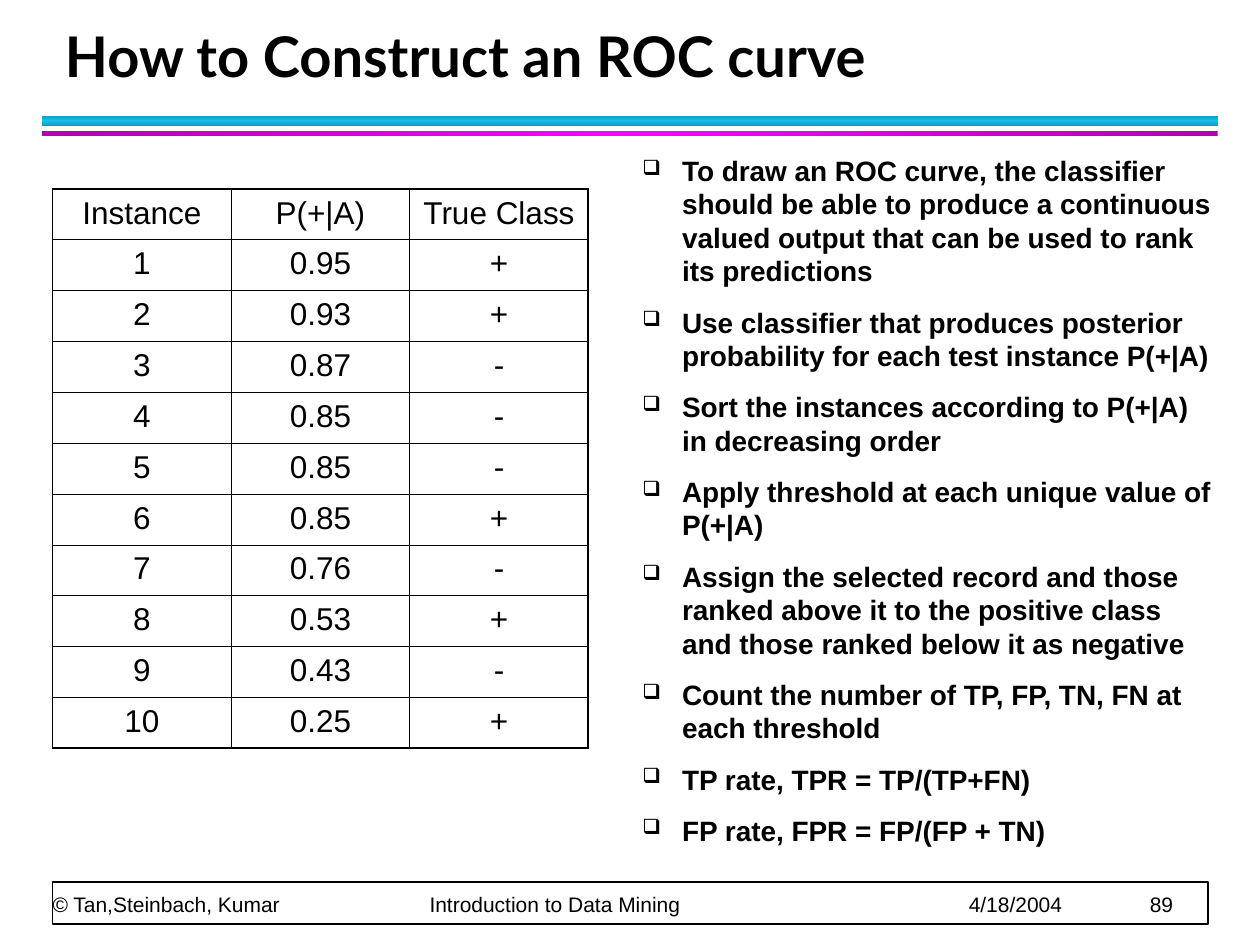
import copy
import dataclasses
import typing

import pptx
import pptx.dml.color
import pptx.enum.shapes
import pptx.enum.text
import pptx.oxml
import pptx.oxml.ns
import pptx.util

Cm = pptx.util.Cm
Pt = pptx.util.Pt
ALIGN = pptx.enum.text.PP_ALIGN
ANCHOR = pptx.enum.text.MSO_ANCHOR

BLACK = "000000"
WHITE = "FFFFFF"
THIN, THICK = 0.45, 1.08
CELL_INSETS = (0.25, 0.13, 0.25, 0.13)


@dataclasses.dataclass
class Area:
    """Left, top, width and height in centimetres."""
    left: float
    top: float
    width: float
    height: float

    def lengths(self) -> list[int]:
        return [Cm(value) for value in dataclasses.astuple(self)]


@dataclasses.dataclass
class Band:
    area: Area
    edge: str
    middle: str
    angle: int


@dataclasses.dataclass
class Instance:
    probability: str
    true_class: str


BANDS = [
    Band(Area(0.85, 2.33, 23.7, 0.21), "0E9BBA", "12C2E9", 90),
    Band(Area(0.85, 2.64, 23.7, 0.1), "B200B2", "FF00FF", 0),
]
HEADINGS = ["Instance", "P(+|A)", "True Class"]
INSTANCES = [
    Instance("0.95", "+"), Instance("0.93", "+"), Instance("0.87", "-"),
    Instance("0.85", "-"), Instance("0.85", "-"), Instance("0.85", "+"),
    Instance("0.76", "-"), Instance("0.53", "+"), Instance("0.43", "-"),
    Instance("0.25", "+"),
]
STEPS = [
    "To draw an ROC curve, the classifier should be able to produce a "
    "continuous valued output that can be used to rank its predictions",
    "Use classifier that produces posterior probability for each test "
    "instance P(+|A)",
    "Sort the instances according to P(+|A) in decreasing order",
    "Apply threshold at each unique value of P(+|A)",
    "Assign the selected record and those ranked above it to the positive "
    "class and those ranked below it as negative",
    "Count the number of TP, FP, TN, FN at each threshold",
    "TP rate, TPR = TP/(TP+FN)",
    "FP rate, FPR = FP/(FP + TN)",
]
FOOTER = ["© Tan,Steinbach, Kumar", "Introduction to Data Mining", "4/18/2004", "89"]
FOOTER_TABS = [7.6, 18.47, 22.12]


def colour(code: str) -> pptx.dml.color.RGBColor:
    return pptx.dml.color.RGBColor.from_string(code)


def add_element(parent: typing.Any, content: str) -> None:
    """Append a DrawingML element, written without its namespace declaration."""
    tag, rest = content[:content.index(" ")], content[content.index(" "):]
    namespace = pptx.oxml.ns.nsdecls("a")
    parent.append(pptx.oxml.parse_xml(f"{tag} {namespace}{rest}"))


def write(para: typing.Any, text: str, *, size: float, font: str = "Arial",
          bold: bool = False, align: ALIGN = ALIGN.LEFT,
          line_spacing: float | None = None, space_before: float = 0,
          bullet: str | None = None, tabs: typing.Sequence[float] = ()) -> None:
    properties = para._p.get_or_add_pPr()
    if bullet:
        indent = Cm(0.8)
        properties.set("marL", str(indent))
        properties.set("indent", str(-indent))
        add_element(properties, f'<a:buClr ><a:srgbClr val="{BLACK}"/></a:buClr>')
        add_element(properties, '<a:buSzPct val="75000"/>')
        add_element(properties, f'<a:buChar char="{bullet}"/>')
    if tabs:
        stops = "".join(f'<a:tab pos="{Cm(stop)}" algn="l"/>' for stop in tabs)
        add_element(properties, f"<a:tabLst >{stops}</a:tabLst>")
    para.alignment = align
    para.space_before = Pt(space_before)
    if line_spacing:
        para.line_spacing = Pt(line_spacing)
    span = para.add_run()
    span.text = text
    span.font.size = Pt(size)
    span.font.name = font
    span.font.bold = bold
    span.font.color.rgb = colour(BLACK)


def add_box(page: typing.Any, area: Area, anchor: ANCHOR,
            insets: tuple[float, float, float, float] = CELL_INSETS) -> typing.Any:
    """Add an empty wrapping text box and return its text frame."""
    frame = page.shapes.add_textbox(*area.lengths()).text_frame
    frame.word_wrap = True
    frame.vertical_anchor = anchor
    (frame.margin_left, frame.margin_top,
     frame.margin_right, frame.margin_bottom) = map(Cm, insets)
    return frame


def add_rectangle(page: typing.Any, area: Area) -> typing.Any:
    kind = pptx.enum.shapes.MSO_SHAPE.RECTANGLE
    shape = page.shapes.add_shape(kind, *area.lengths())
    shape.shadow.inherit = False
    return shape


def add_band(page: typing.Any, band: Band) -> None:
    shape = add_rectangle(page, band.area)
    shape.line.fill.background()
    shape.fill.gradient()
    shape.fill.gradient_angle = band.angle
    stop_list = shape._element.spPr.find(".//" + pptx.oxml.ns.qn("a:gsLst"))
    stop_list.insert(1, copy.deepcopy(stop_list[0]))
    codes = (band.edge, band.middle, band.edge)
    for index, (stop, code) in enumerate(zip(shape.fill.gradient_stops, codes)):
        stop.position = index / 2
        stop.color.rgb = colour(code)


def add_instance_table(page: typing.Any, area: Area) -> None:
    rows = [HEADINGS] + [[str(number), instance.probability, instance.true_class]
                         for number, instance in enumerate(INSTANCES, 1)]
    last_row, last_column = len(rows) - 1, len(HEADINGS) - 1
    table = page.shapes.add_table(len(rows), len(HEADINGS), *area.lengths()).table
    table.first_row = table.horz_banding = False
    for row, values in enumerate(rows):
        for column, value in enumerate(values):
            cell = table.cell(row, column)
            (cell.margin_left, cell.margin_top,
             cell.margin_right, cell.margin_bottom) = map(Cm, CELL_INSETS)
            write(cell.text_frame.paragraphs[0], value, size=18, align=ALIGN.CENTER)
            outer = {"L": column == 0, "R": column == last_column,
                     "T": row == 0, "B": row == last_row}
            for side, is_outer in outer.items():
                width = Pt(THICK if is_outer else THIN)
                add_element(cell._tc.get_or_add_tcPr(),
                            f'<a:ln{side} w="{width}"><a:solidFill>'
                            f'<a:srgbClr val="{BLACK}"/></a:solidFill></a:ln{side}>')
            cell.fill.background()


def add_steps(page: typing.Any, area: Area) -> None:
    frame = add_box(page, area, ANCHOR.TOP)
    for index, step in enumerate(STEPS):
        para = frame.add_paragraph() if index else frame.paragraphs[0]
        write(para, step, size=16, bold=True, bullet="❑",
              space_before=10 if index else 0)


def add_footer(page: typing.Any) -> None:
    border = add_rectangle(page, Area(1.06, 17.78, 23.3, 0.85))
    border.fill.solid()
    border.fill.fore_color.rgb = colour(WHITE)
    border.line.color.rgb = colour(BLACK)
    border.line.width = Pt(1)
    frame = add_box(page, Area(1.06, 17.07, 23.24, 1.42), ANCHOR.BOTTOM, (0, 0, 0, 0))
    write(frame.paragraphs[0], "\t".join(FOOTER), size=12,
          line_spacing=20, tabs=FOOTER_TABS)


def main() -> None:
    deck = pptx.Presentation()
    deck.slide_width, deck.slide_height = Cm(25.4), Cm(19.05)
    page = deck.slides.add_slide(deck.slide_layouts[6])
    for band in BANDS:
        add_band(page, band)
    add_footer(page)
    title = add_box(page, Area(1.06, 0.43, 23, 1.48), ANCHOR.BOTTOM)
    write(title.paragraphs[0], "How to Construct an ROC curve", size=32,
          font="Lato", bold=True, line_spacing=36)
    add_instance_table(page, Area(1.06, 3.81, 10.8, 11.28))
    add_steps(page, Area(12.7, 2.96, 12.07, 14.25))
    deck.save("out.pptx")


if __name__ == "__main__":
    main()
